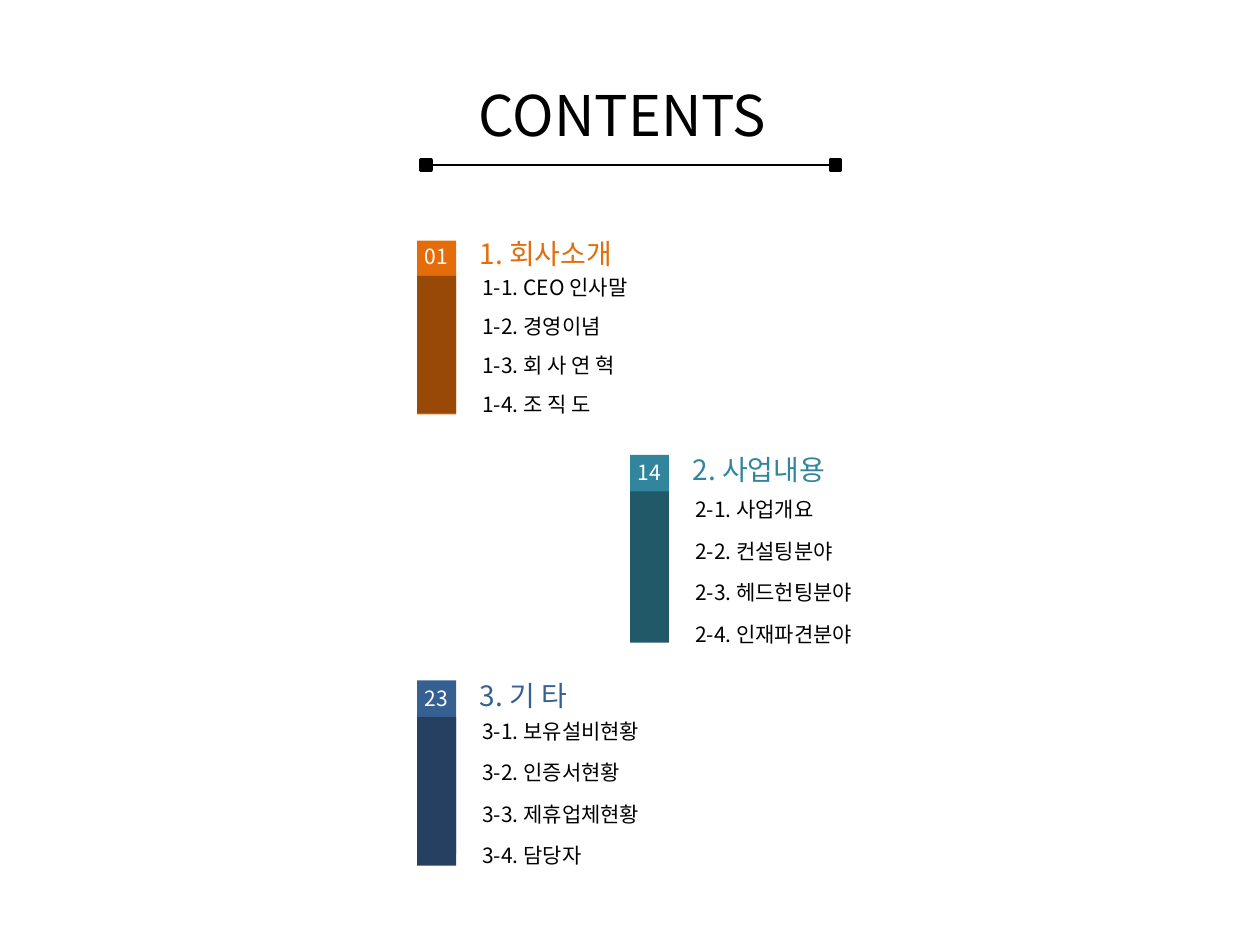
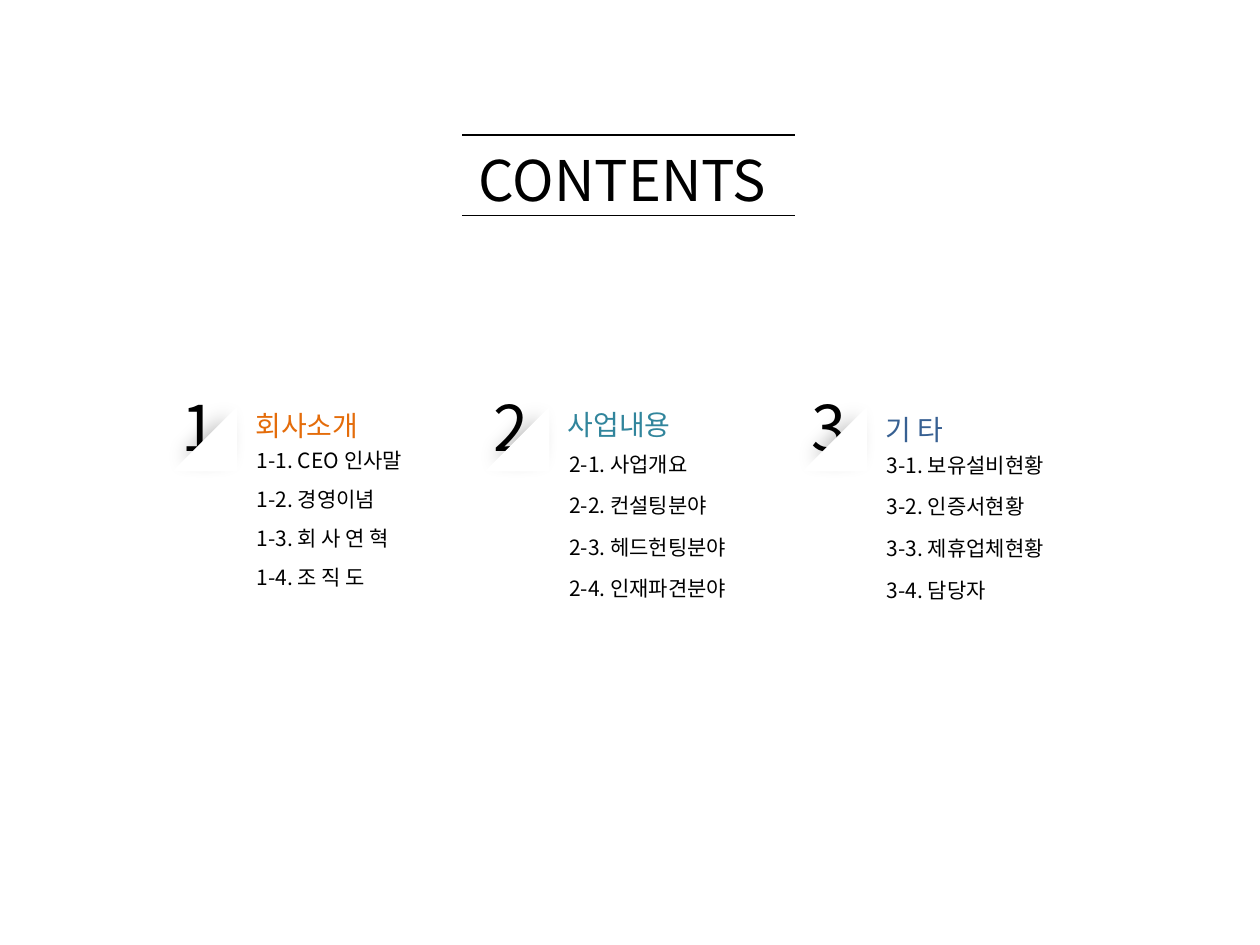
import dataclasses

import lxml.etree
import pptx
import pptx.dml.color
import pptx.enum.shapes
import pptx.enum.text
import pptx.oxml.ns
import pptx.util

Inches = pptx.util.Inches
Pt = pptx.util.Pt
Shape = pptx.enum.shapes.MSO_SHAPE
Align = pptx.enum.text.PP_ALIGN

FONT = "Noto Sans CJK KR"
BLACK, WHITE = "000000", "FFFFFF"
LINE_HEIGHT = 1.27  # line height as a multiple of the text size
ITEM_HEIGHT, HEADING_HEIGHT = 0.3, 0.37


@dataclasses.dataclass
class Section:
    title: str
    first_page: str
    color: str
    dark: str
    items: list
    step: float  # distance between items


SECTIONS = [
    Section("회사소개", "01", "E46C0A", "984807",
            ["1-1. CEO 인사말", "1-2. 경영이념", "1-3. 회 사 연 혁", "1-4. 조 직 도"], 0.31),
    Section("사업내용", "14", "31859C", "215968",
            ["2-1. 사업개요", "2-2. 컨설팅분야", "2-3. 헤드헌팅분야", "2-4. 인재파견분야"], 0.33),
    Section("기 타", "23", "376092", "254061",
            ["3-1. 보유설비현황", "3-2. 인증서현황", "3-3. 제휴업체현황", "3-4. 담당자"], 0.33),
]


def rgb(color):
    return pptx.dml.color.RGBColor.from_string(color)


def child(parent, tag, **attributes):
    return lxml.etree.SubElement(parent, pptx.oxml.ns.qn(tag), attributes)


def write(box, text, size, color, align=Align.LEFT, wrap=True):
    frame = box.text_frame
    frame.word_wrap = wrap
    frame.auto_size = pptx.enum.text.MSO_AUTO_SIZE.NONE
    frame.vertical_anchor = pptx.enum.text.MSO_ANCHOR.TOP
    para = frame.paragraphs[0]
    para.alignment = align
    para.line_spacing = Pt(size * LINE_HEIGHT)
    span = para.add_run()
    span.text = text
    span.font.size = Pt(size)
    span.font.name = FONT
    span.font.color.rgb = rgb(color)
    child(span.font._element, "a:ea", typeface=FONT)


def add_label(shapes, left, top, width, height, text, size, color, **options):
    box = shapes.add_textbox(Inches(left), Inches(top), Inches(width), Inches(height))
    write(box, text, size, color, **options)


def add_block(shapes, kind, left, top, width, height, fill, line_width=0):
    block = shapes.add_shape(kind, Inches(left), Inches(top), Inches(width), Inches(height))
    block.shadow.inherit = False
    block.fill.solid()
    block.fill.fore_color.rgb = rgb(fill)
    if line_width:
        block.line.color.rgb = rgb(fill)
        block.line.width = Pt(line_width)
    else:
        block.line.fill.background()
    return block


def add_rule(shapes, left, right, y, width):
    rule = shapes.add_connector(pptx.enum.shapes.MSO_CONNECTOR.STRAIGHT,
                                Inches(left), Inches(y), Inches(right), Inches(y))
    rule.line.color.rgb = rgb(BLACK)
    rule.line.width = Pt(width)
    child(rule._element.spPr, "a:effectLst")
    return rule


def add_page(deck, title_top):
    page = deck.slides.add_slide(deck.slide_layouts[5])
    title = page.shapes.title
    title.left, title.top = Inches(3.7), Inches(title_top)
    title.width, title.height = Inches(2.59), Inches(0.64)
    write(title, "CONTENTS", 32, BLACK)
    return page


def add_heading(shapes, left, top, text, color):
    add_label(shapes, left, top, 1.4, HEADING_HEIGHT, text, 16, color)


def add_items(shapes, section, left, top):
    for index, item in enumerate(section.items):
        add_label(shapes, left, top + index * section.step, 1.6, ITEM_HEIGHT,
                  item, 12, BLACK)


def add_page_tab(shapes, section, left, top, number_top, dark_top, dark_height):
    """Bright bar with the page number, and a dark bar over its lower part."""
    add_block(shapes, Shape.RECTANGLE, left, top, 0.31, 1.38, section.color)
    add_label(shapes, left - 0.04, number_top, 0.39, ITEM_HEIGHT, section.first_page,
              12, WHITE, align=Align.CENTER, wrap=False)
    add_block(shapes, Shape.RECTANGLE, left, dark_top, 0.31, dark_height, section.dark)


def add_cut_number(shapes, number, left):
    """Big digit whose lower right corner is tucked behind a folded edge."""
    add_label(shapes, left, 3, 0.49, 0.71, str(number), 36, BLACK)
    caster = add_block(shapes, Shape.RIGHT_TRIANGLE, left + 0.48, 3.67, 0.34, 0.34, WHITE)
    cover = add_block(shapes, Shape.RIGHT_TRIANGLE, left + 0.03, 3.23, 0.51, 0.51, WHITE)
    caster.rotation = cover.rotation = 270

    # The shadow of the small triangle falls along the edge of the cover
    effects = caster._element.spPr.find(pptx.oxml.ns.qn("a:effectLst"))
    shadow = child(effects, "a:outerShdw", blurRad=str(Pt(12)), dist=str(Pt(38)),
                   dir=str(225 * 60000), algn="br", rotWithShape="0")
    child(child(shadow, "a:srgbClr", val=BLACK), "a:alpha", val="31000")


def build_staggered_contents(deck):
    page = add_page(deck, 0.56)
    shapes = page.shapes

    # Line under the title with a square at each end
    squares = [add_block(shapes, Shape.RECTANGLE, left, 1.27, 0.08, 0.08, BLACK, 2)
               for left in (3.34, 6.59)]
    rule = add_rule(shapes, 3.42, 6.59, 1.31, 0.75)
    rule.begin_connect(squares[0], 3)
    rule.end_connect(squares[1], 1)

    # Tab left, tab top, number top, dark top, dark height, heading top, items left, items top
    places = [
        (3.31, 1.91, 1.87, 2.19, 1.09, 1.81, 3.73, 2.12),
        (5, 3.61, 3.59, 3.9, 1.2, 3.53, 5.42, 3.88),
        (3.31, 5.4, 5.38, 5.69, 1.18, 5.32, 3.73, 5.64),
    ]
    for number, (section, place) in enumerate(zip(SECTIONS, places), 1):
        *tab, heading_top, items_left, items_top = place
        add_page_tab(shapes, section, *tab)
        add_heading(shapes, items_left - 0.02, heading_top,
                    f"{number}. {section.title}", section.color)
        add_items(shapes, section, items_left, items_top)


def build_column_contents(deck):
    page = add_page(deck, 1.07)
    for y in (1.07, 1.71):
        add_rule(page.shapes, 3.67, 6.31, y, 1)

    # Column left, heading top, items top
    places = [(1.34, 3.18, 3.49), (3.82, 3.17, 3.52), (6.34, 3.21, 3.53)]
    for number, (section, place) in enumerate(zip(SECTIONS, places), 1):
        left, heading_top, items_top = place
        shapes = page.shapes.add_group_shape().shapes
        add_cut_number(shapes, number, left)
        add_heading(shapes, left + 0.59, heading_top, section.title, section.color)
        add_items(shapes, section, left + 0.6, items_top)


def main():
    deck = pptx.Presentation()
    deck.slide_width, deck.slide_height = Inches(10), Inches(7.5)
    build_staggered_contents(deck)
    build_column_contents(deck)
    deck.save("out.pptx")


if __name__ == "__main__":
    main()
